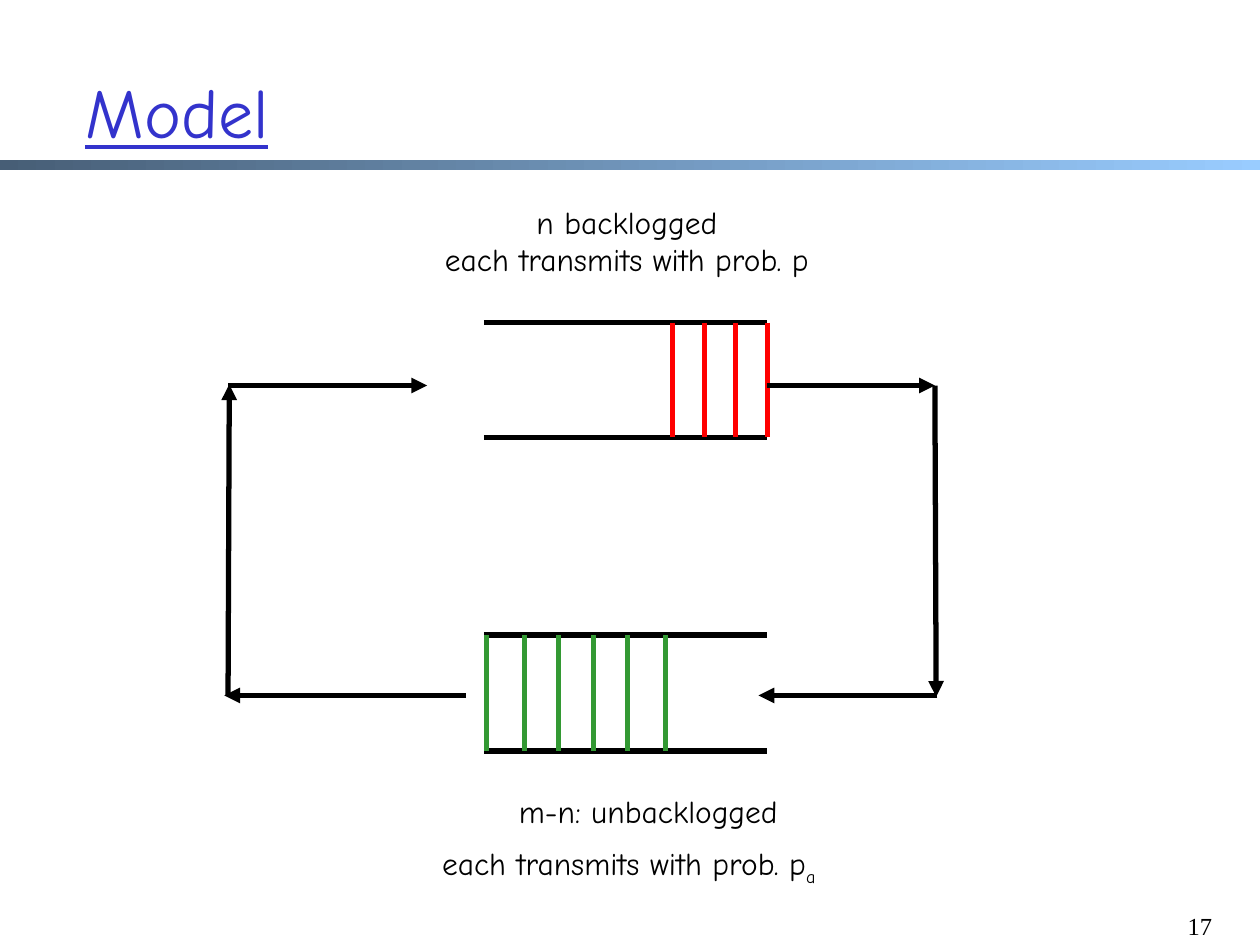
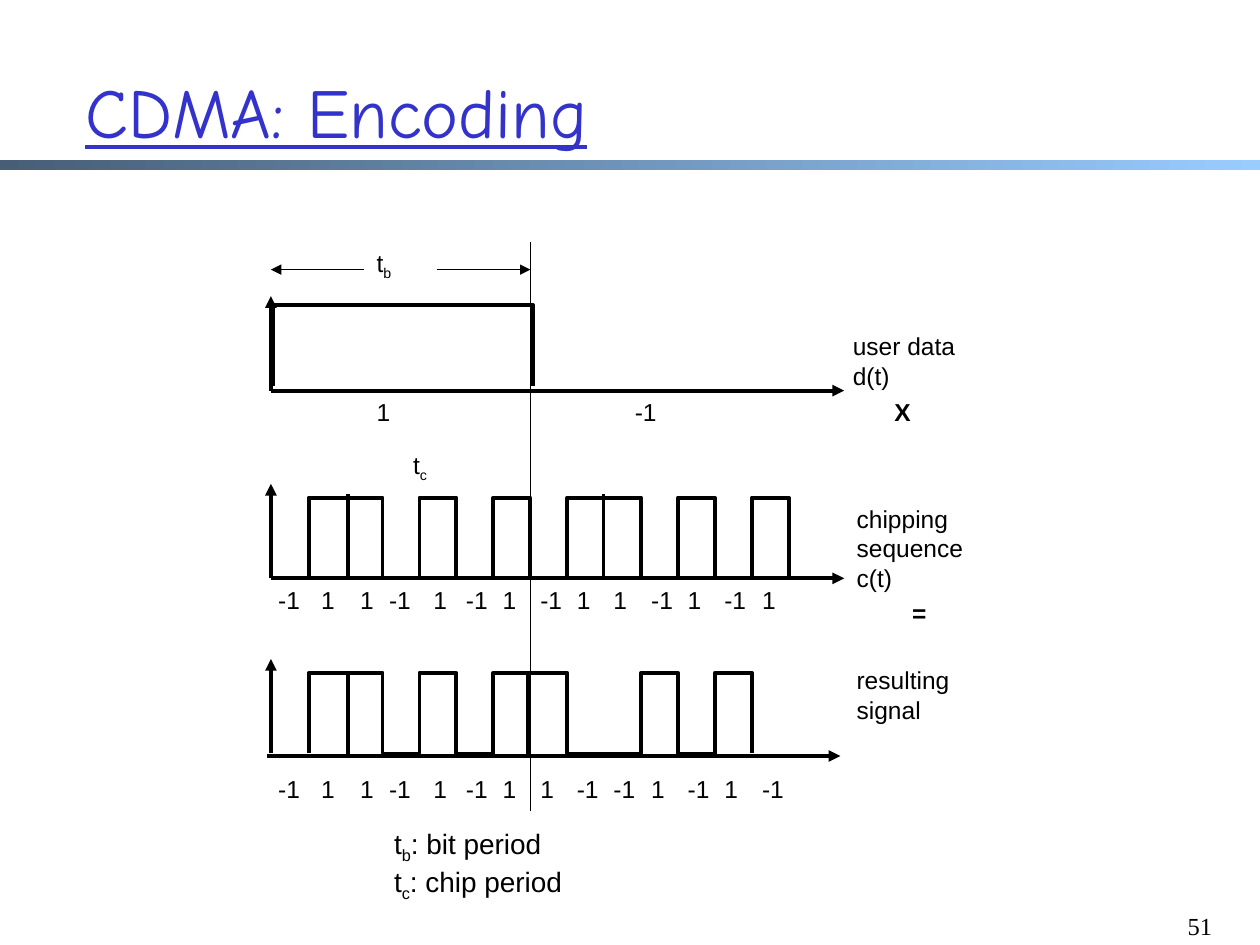
"""Build two network lecture slides: a queue model and CDMA encoding."""
from itertools import groupby
from lxml.etree import SubElement
from pptx import Presentation
from pptx.dml.color import RGBColor
from pptx.enum.shapes import MSO_CONNECTOR, MSO_SHAPE
from pptx.enum.text import MSO_ANCHOR, MSO_AUTO_SIZE, PP_ALIGN
from pptx.oxml.ns import qn
from pptx.util import Inches, Pt

BLACK = RGBColor(0x00, 0x00, 0x00)
BLUE = RGBColor(0x33, 0x33, 0xCC)
RED = RGBColor(0xFF, 0x00, 0x00)
GREEN = RGBColor(0x33, 0x99, 0x33)
SLATE = RGBColor(0x47, 0x5E, 0x76)
SKY = RGBColor(0x99, 0xCC, 0xFF)

HEAD = {"name": "Comic Neue", "size": Pt(40), "underline": True}
COMIC = {"name": "Comic Neue", "size": Pt(18)}
ARIAL = {"name": "Arial", "size": Pt(14)}
BOLD = {**ARIAL, "bold": True}
LARGE = {**ARIAL, "size": Pt(16)}
FOOT = {"name": "Times New Roman", "size": Pt(14)}

QUEUES = [
    (2.56, 3.47, RED, [6.09 - 0.25 * i for i in range(4)]),
    (5.04, 5.96, GREEN, [3.86, 4.16, 4.43, 4.71, 4.98, 5.28]),
]
FLOWS = [
    (1.81, 3.06, 3.39, 3.06),
    (6.09, 3.06, 7.42, 3.06),
    (7.42, 3.06, 7.43, 5.53),
    (7.44, 5.52, 6.02, 5.52),
    (3.7, 5.52, 1.78, 5.52),
    (1.81, 5.52, 1.82, 3.05),
]
NOTES = [
    (4.02, 6.24, 2.33, 0.4, ["m-n: unbacklogged"]),
    (3.41, 6.65, 3.48, 0.4, ["each transmits with prob. p_a"]),
]

CHIPS = [-1, 1, 1, -1, 1, -1, 1, -1, 1, 1, -1, 1, -1, 1]
RESULT = [-1, 1, 1, -1, 1, -1, 1, 1, -1, -1, 1, -1, 1, -1]
COLS = [2.11, 2.45, 2.76, 2.99, 3.34, 3.6, 3.89,
        4.19, 4.48, 4.77, 5.07, 5.36, 5.65, 5.95]
FIRST, LAST, RISE = 2.45, 6.26, 0.64
STEP = (LAST - FIRST) / 13
WAVES = [(CHIPS, 4.59, 4.59), (RESULT, 5.98, 6.09)]
AXES = [(2.15, 3.1, 3.1), (2.15, 4.59, 4.59), (2.12, 5.98, 6)]
SPLITS = [(2.76, 3.92), (4.79, 3.92), (2.76, 5.34), (4.19, 5.34)]
LABELS = [
    (6.67, 2.58, 1.35, 0.57, ["user data", "d(t)"], ARIAL),
    (6.7, 3.95, 1.38, 0.8, ["chipping", "sequence", "c(t)"], ARIAL),
    (6.7, 5.23, 1.38, 0.57, ["resulting", "signal"], ARIAL),
    (2.89, 3.1, 0.31, 0.33, ["1"], ARIAL),
    (4.94, 3.1, 0.37, 0.33, ["-1"], ARIAL),
    (7, 3.1, 0.33, 0.33, ["X"], BOLD),
    (7.14, 4.7, 0.31, 0.33, ["="], BOLD),
    (2.89, 1.92, 0.32, 0.33, ["t_b"], ARIAL),
    (3.18, 3.52, 0.32, 0.33, ["t_c"], ARIAL),
    (3.03, 6.51, 1.55, 0.64, ["t_b: bit period", "t_c: chip period"], LARGE),
]


def write(para, text, style, color):
    first, *rest = text.split("_")
    parts = [(first, False)]
    for part in rest:
        parts += [(part[0], True), (part[1:], False)]
    for part, sub in parts:
        if not part:
            continue
        run = para.add_run()
        run.text = part
        for key, value in style.items():
            setattr(run.font, key, value)
        run.font.color.rgb = color
        if sub:
            run._r.get_or_add_rPr().set("baseline", "-25000")


def label(slide, box, lines, style, color=BLACK, align=PP_ALIGN.LEFT, wrap=False):
    frame = slide.shapes.add_textbox(*map(Inches, box)).text_frame
    frame.word_wrap = wrap
    frame.auto_size = MSO_AUTO_SIZE.NONE if wrap else MSO_AUTO_SIZE.SHAPE_TO_FIT_TEXT
    for i, text in enumerate(lines):
        para = frame.add_paragraph() if i else frame.paragraphs[0]
        para.alignment = align
        write(para, text, style, color)
    return frame


def line(slide, ends, color=BLACK, width=3, tip=None):
    wire = slide.shapes.add_connector(MSO_CONNECTOR.STRAIGHT, *map(Inches, ends))
    wire.line.color.rgb = color
    wire.line.width = Pt(width)
    if tip:
        SubElement(wire.line._get_or_add_ln(), qn(f"a:{tip}"), type="triangle")
    SubElement(wire._element.spPr, qn("a:effectLst"))


def trace(slide, points):
    start, *rest = [(Inches(x), Inches(y)) for x, y in points]
    pen = slide.shapes.build_freeform(*start)
    pen.add_line_segments(rest, close=False)
    shape = pen.convert_to_shape()
    shape.shadow.inherit = False
    shape.fill.background()
    shape.line.color.rgb = BLACK
    shape.line.width = Pt(2.25)


def pulse(bits, base):
    points = []
    for bit, group in groupby(range(len(bits)), key=lambda i: bits[i]):
        if bit == 1:
            span = list(group)
            left = FIRST + STEP * (span[0] - 1)
            right = FIRST + STEP * span[-1]
            top = base - RISE
            points += [(left, base), (left, top), (right, top), (right, base)]
    return points


def start(deck, title, number):
    slide = deck.slides.add_slide(deck.slide_layouts[6])
    band = slide.shapes.add_shape(MSO_SHAPE.RECTANGLE,
                                  *map(Inches, (0, 1.27, 10, 0.08)))
    band.shadow.inherit = False
    band.line.fill.background()
    band.fill.gradient()
    band.fill.gradient_angle = 0
    for stop, color, place in zip(band.fill.gradient_stops, (SLATE, SKY), (0, 1)):
        stop.color.rgb = color
        stop.position = place
    frame = label(slide, (0.58, 0.25, 8.78, 1.25), [title], HEAD, BLUE, wrap=True)
    frame.vertical_anchor = MSO_ANCHOR.MIDDLE
    label(slide, (9.25, 7.18, 0.47, 0.32), [number], FOOT,
          align=PP_ALIGN.RIGHT, wrap=True)
    return slide


def model(deck):
    slide = start(deck, "Model", "17")
    for top, base, color, bars in QUEUES:
        for y in (top, base):
            line(slide, (3.84, y, 6.09, y))
        for x in bars:
            line(slide, (x, top, x, base), color)
    for ends in FLOWS:
        line(slide, ends, tip="tailEnd")
    label(slide, (3.28, 1.56, 3.39, 0.7),
          ["n backlogged", "each transmits with prob. p"], COMIC,
          align=PP_ALIGN.CENTER)
    for *box, lines in NOTES:
        label(slide, box, lines, COMIC)


def coding(deck):
    slide = start(deck, "CDMA: Encoding", "51")
    for left, base, y in AXES:
        line(slide, (2.15, base, 2.15, base - 0.75), width=2.25, tip="tailEnd")
        line(slide, (left, y, left + 4.55, y), width=2.25, tip="tailEnd")
    trace(slide, [(2.17, 3.06), (2.17, 2.42), (4.23, 2.42), (4.23, 3.06)])
    for bits, base, top in WAVES:
        trace(slide, pulse(bits, base))
        for x, bit in zip(COLS, bits):
            label(slide, (x, top, 0.31 if bit > 0 else 0.37, 0.33),
                  [str(bit)], ARIAL)
    for x, y in SPLITS:
        line(slide, (x, y, x, y + 0.67), width=2.25)
    line(slide, (4.21, 1.92, 4.21, 6.44), width=1)
    line(slide, (2.15, 2.14, 2.89, 2.14), width=0.75, tip="headEnd")
    line(slide, (3.47, 2.14, 4.21, 2.14), width=0.75, tip="tailEnd")
    for *box, lines, style in LABELS:
        label(slide, box, lines, style)


def main():
    deck = Presentation()
    deck.slide_width, deck.slide_height = Inches(10), Inches(7.5)
    model(deck)
    coding(deck)
    deck.save("out.pptx")


if __name__ == "__main__":
    main()
